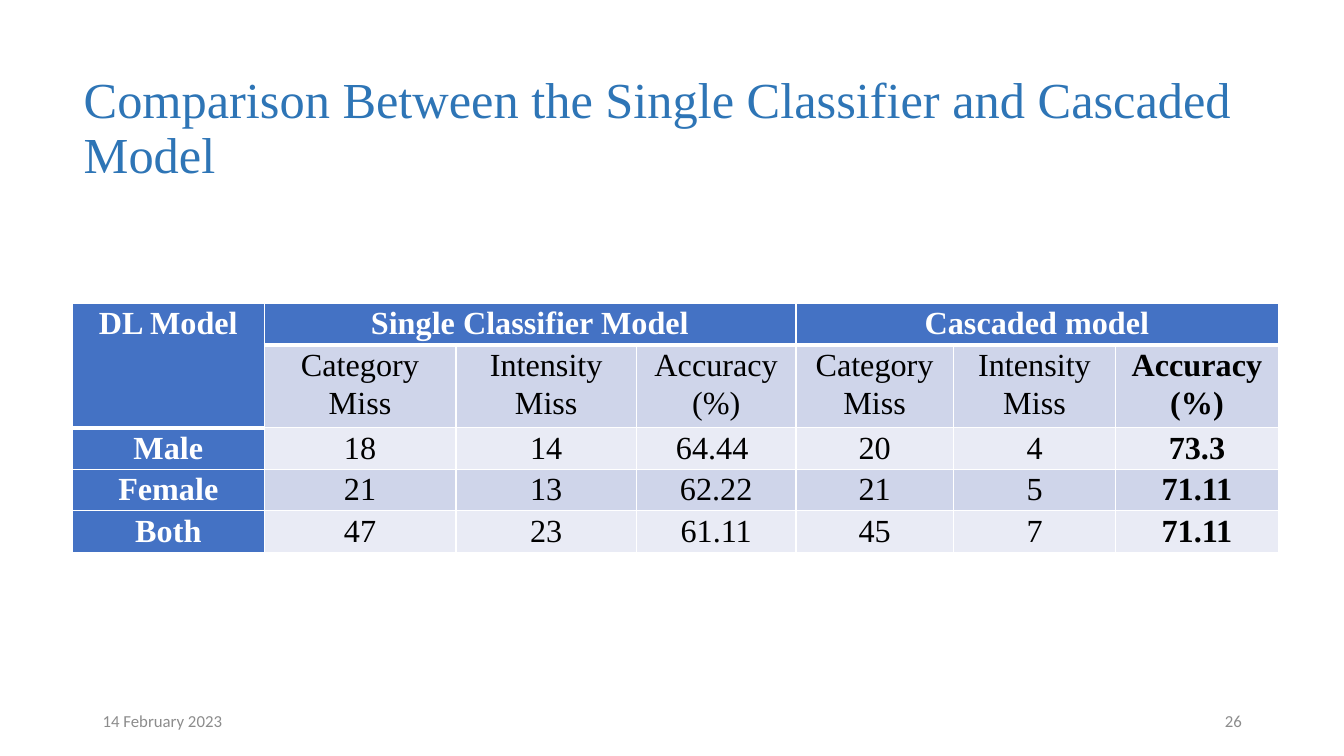
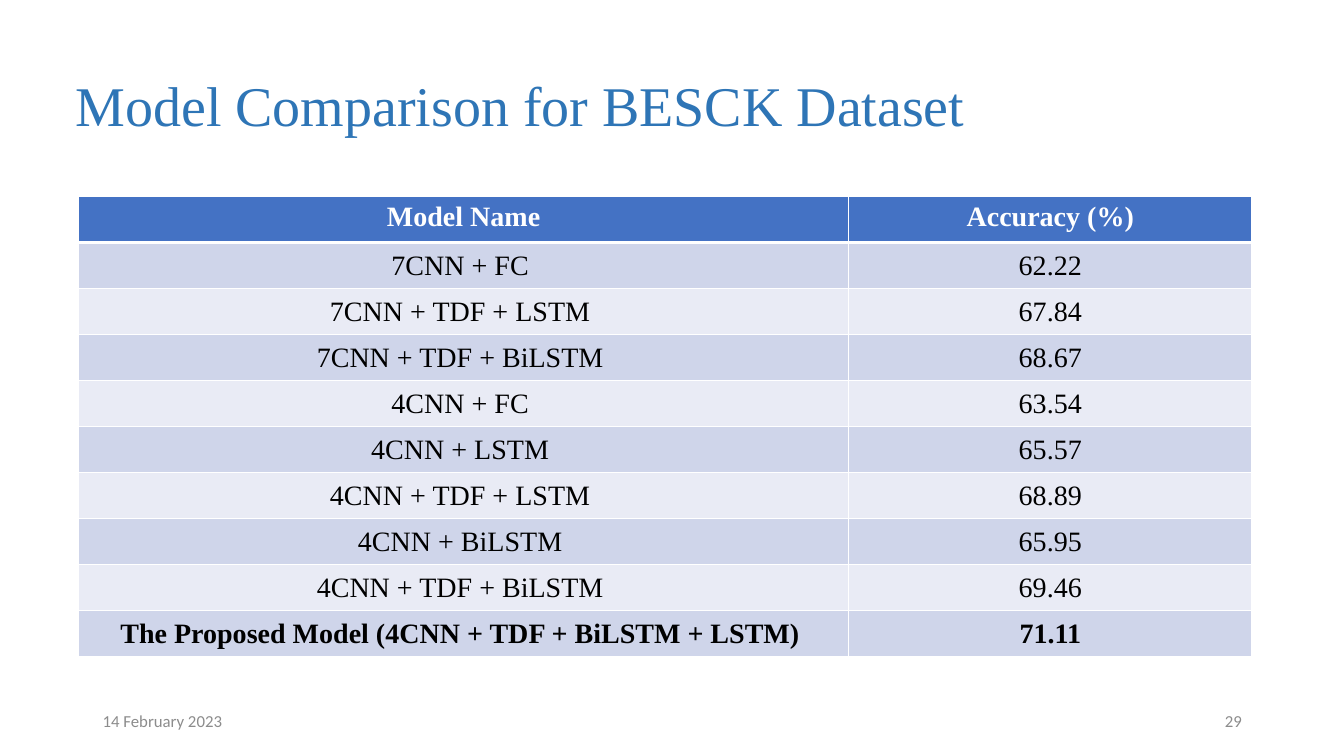
"""Build two slides that compare classifier models in tables."""
from dataclasses import dataclass, field

import lxml.etree
import pptx
import pptx.dml.color
import pptx.enum.text
import pptx.oxml.ns
import pptx.util

ALIGN = pptx.enum.text.PP_ALIGN
ANCHOR = pptx.enum.text.MSO_ANCHOR
SLIDE_WIDTH = pptx.util.Inches(13.33)
SLIDE_HEIGHT = pptx.util.Inches(7.5)
SERIF = "Times New Roman"
SANS = "Calibri"
COLORS = {
    "title": "2E75B6",
    "header": "4472C4",
    "band_dark": "CFD5EA",
    "band_light": "E9EBF5",
    "white": "FFFFFF",
    "black": "000000",
    "footer": "8C8C8C",
}


@dataclass(frozen=True)
class Box:
    left: float
    top: float
    width: float
    height: float

    def lengths(self) -> tuple[int, int, int, int]:
        return (
            round(SLIDE_WIDTH * self.left / 100),
            round(SLIDE_HEIGHT * self.top / 100),
            round(SLIDE_WIDTH * self.width / 100),
            round(SLIDE_HEIGHT * self.height / 100),
        )


@dataclass(frozen=True)
class TableDesign:
    box: Box
    column_weights: list[float]
    row_weights: list[float]
    rows: list[list[str]]
    size: float
    margins: tuple[float, float]
    line_spacing: float = 1.0
    body_anchor: ANCHOR = ANCHOR.TOP
    header_column: bool = False
    bold_column: int | None = None
    bold_row: int | None = None
    merges: list[tuple[int, int, int, int]] = field(default_factory=list)


@dataclass(frozen=True)
class SlideDesign:
    title: str
    title_box: Box
    title_size: float
    number: str
    table: TableDesign


DATE_BOX = Box(6.9, 92.67, 22.5, 5.33)
NUMBER_BOX = Box(70.65, 92.67, 22.5, 5.33)

DESIGNS = [
    SlideDesign(
        title="Comparison Between the Single Classifier and Cascaded Model",
        title_box=Box(5.48, 9.1, 93.85, 16.13),
        title_size=36,
        number="26",
        table=TableDesign(
            box=Box(5.4, 40.13, 89.72, 32.93),
            column_weights=[1.9, 1.9, 1.79, 1.58, 1.56, 1.61, 1.61],
            row_weights=[1, 2, 1, 1, 1],
            rows=[
                ["DL Model", "Single Classifier Model", "", "", "Cascaded model", "", ""],
                [""] + ["Category Miss", "Intensity Miss", "Accuracy (%)"] * 2,
                ["Male", "18", "14", "64.44 ", "20", "4", "73.3"],
                ["Female", "21", "13", "62.22", "21", "5", "71.11"],
                ["Both", "47", "23", "61.11", "45", "7", "71.11"],
            ],
            size=23,
            margins=(0.14, 0),
            line_spacing=1.07,
            header_column=True,
            bold_column=6,
            merges=[(0, 0, 1, 0), (0, 1, 0, 3), (0, 4, 0, 6)],
        ),
    ),
    SlideDesign(
        title="Model Comparison for BESCK Dataset",
        title_box=Box(4.88, 6.8, 86.27, 15.07),
        title_size=40,
        number="29",
        table=TableDesign(
            box=Box(5.85, 26, 87.3, 60.93),
            column_weights=[7.64, 4],
            row_weights=[1] * 10,
            rows=[
                ["Model Name", "Accuracy (%)"],
                ["7CNN + FC ", "62.22"],
                ["7CNN + TDF + LSTM ", "67.84"],
                ["7CNN + TDF + BiLSTM ", "68.67"],
                ["4CNN + FC ", "63.54"],
                ["4CNN + LSTM ", "65.57"],
                ["4CNN + TDF + LSTM ", "68.89"],
                ["4CNN + BiLSTM ", "65.95"],
                ["4CNN + TDF + BiLSTM ", "69.46"],
                ["The Proposed Model (4CNN + TDF + BiLSTM + LSTM) ", "71.11"],
            ],
            size=20,
            margins=(0.1, 0.05),
            body_anchor=ANCHOR.MIDDLE,
            bold_row=9,
        ),
    ),
]


def rgb(name: str) -> pptx.dml.color.RGBColor:
    return pptx.dml.color.RGBColor.from_string(COLORS[name])


def write_text(text_frame, text: str, *, size: float, color: str, font: str = SERIF,
               bold: bool = False, align: ALIGN = ALIGN.LEFT,
               line_spacing: float = 1.0) -> None:
    paragraph = text_frame.paragraphs[0]
    paragraph.alignment = align
    paragraph.line_spacing = line_spacing
    run = paragraph.add_run()
    run.text = text
    run.font.name = font
    run.font.size = pptx.util.Pt(size)
    run.font.bold = bold
    run.font.color.rgb = rgb(color)


def place_title(slide, design: SlideDesign) -> None:
    title = slide.shapes.title
    title.left, title.top, title.width, title.height = design.title_box.lengths()
    title.text_frame.auto_size = pptx.enum.text.MSO_AUTO_SIZE.NONE
    title.text_frame.vertical_anchor = ANCHOR.MIDDLE
    write_text(title.text_frame, design.title, size=design.title_size,
               color="title", line_spacing=0.9)


def add_footer(slide, box: Box, text: str, align: ALIGN) -> None:
    text_frame = slide.shapes.add_textbox(*box.lengths()).text_frame
    text_frame.word_wrap = True
    text_frame.vertical_anchor = ANCHOR.MIDDLE
    write_text(text_frame, text, size=12, color="footer", font=SANS, align=align)


def set_borders(cell, widths: dict[str, float]) -> None:
    properties = cell._tc.get_or_add_tcPr()
    for side, width in widths.items():
        line = lxml.etree.SubElement(properties, pptx.oxml.ns.qn(f"a:ln{side}"),
                                     w=str(pptx.util.Pt(width)))
        fill = lxml.etree.SubElement(line, pptx.oxml.ns.qn("a:solidFill"))
        lxml.etree.SubElement(fill, pptx.oxml.ns.qn("a:srgbClr"), val=COLORS["white"])


def format_cell(cell, design: TableDesign, row: int, column: int) -> None:
    header = row == 0 or (design.header_column and column == 0)
    band = "band_dark" if row % 2 else "band_light"
    top = 3 if row == 1 else 1
    bottom = 3 if row == 0 else 1
    set_borders(cell, {"L": 1, "R": 1, "T": top, "B": bottom})
    cell.fill.solid()
    cell.fill.fore_color.rgb = rgb("header" if header else band)
    horizontal, vertical = map(pptx.util.Inches, design.margins)
    cell.margin_left = cell.margin_right = horizontal
    cell.margin_top = cell.margin_bottom = vertical
    cell.vertical_anchor = ANCHOR.TOP if row == 0 else design.body_anchor
    if design.rows[row][column]:
        bold = header or row == design.bold_row or column == design.bold_column
        write_text(cell.text_frame, design.rows[row][column], size=design.size,
                   color="white" if header else "black", bold=bold,
                   align=ALIGN.CENTER, line_spacing=design.line_spacing)


def add_table(slide, design: TableDesign) -> None:
    left, top, width, height = design.box.lengths()
    table = slide.shapes.add_table(len(design.row_weights), len(design.column_weights),
                                   left, top, width, height).table
    table.first_col = design.header_column
    for column, weight in zip(table.columns, design.column_weights):
        column.width = round(width * weight / sum(design.column_weights))
    for row, weight in zip(table.rows, design.row_weights):
        row.height = round(height * weight / sum(design.row_weights))
    for first_row, first_column, last_row, last_column in design.merges:
        table.cell(first_row, first_column).merge(table.cell(last_row, last_column))
    for row in range(len(design.row_weights)):
        for column in range(len(design.column_weights)):
            format_cell(table.cell(row, column), design, row, column)


def main() -> None:
    presentation = pptx.Presentation()
    presentation.slide_width = SLIDE_WIDTH
    presentation.slide_height = SLIDE_HEIGHT
    title_only = presentation.slide_layouts.get_by_name("Title Only")
    for design in DESIGNS:
        slide = presentation.slides.add_slide(title_only)
        place_title(slide, design)
        add_table(slide, design.table)
        add_footer(slide, DATE_BOX, "14 February 2023", ALIGN.LEFT)
        add_footer(slide, NUMBER_BOX, design.number, ALIGN.RIGHT)
    presentation.save("out.pptx")


if __name__ == "__main__":
    main()
